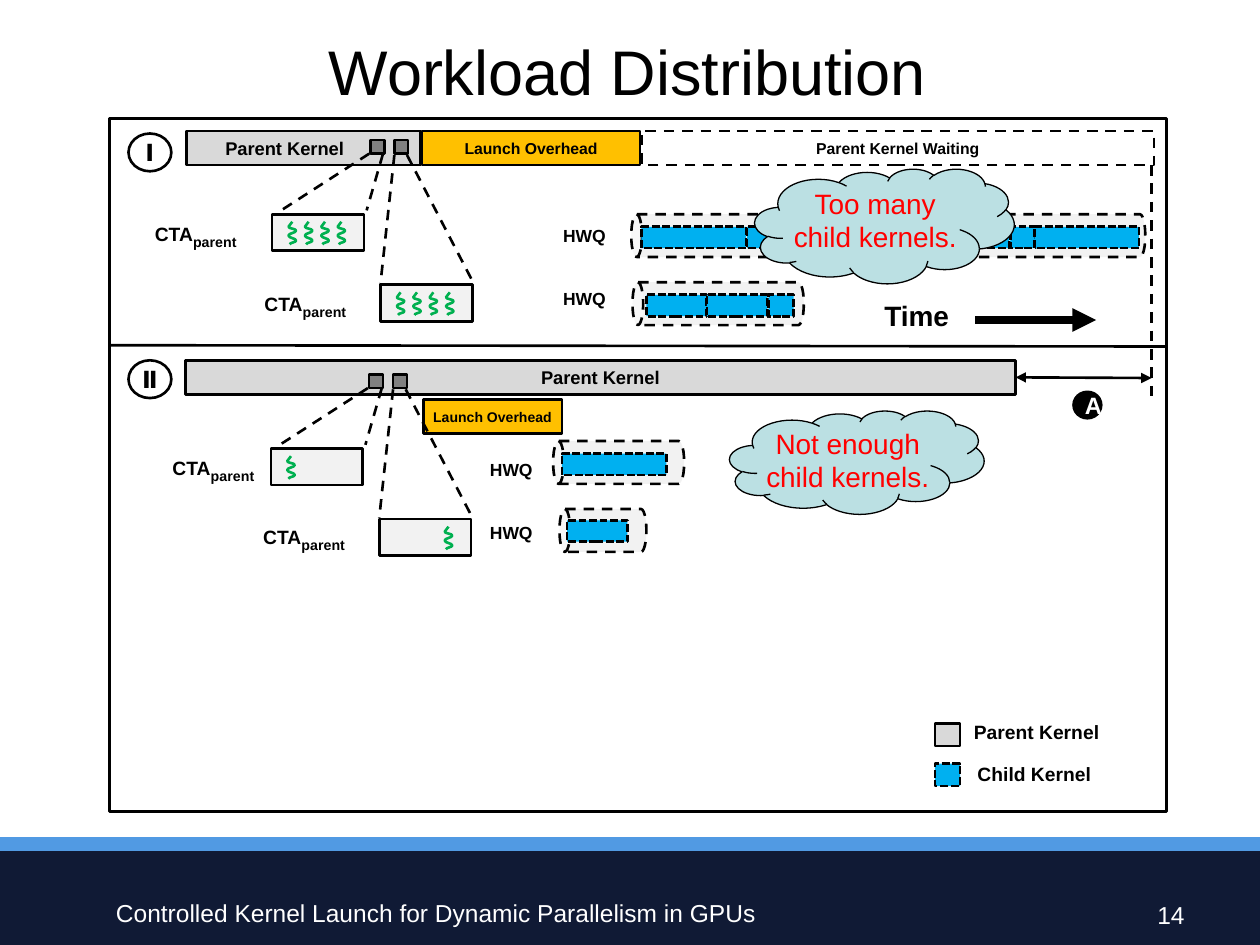
"""Build the Workload Distribution slide, comparing two child kernel launch timelines."""
from lxml import etree
from pptx import Presentation
from pptx.dml.color import RGBColor
from pptx.enum.dml import MSO_LINE
from pptx.enum.shapes import MSO_CONNECTOR, MSO_SHAPE
from pptx.enum.text import MSO_ANCHOR, PP_ALIGN
from pptx.oxml.ns import qn
from pptx.util import Inches, Pt

RECT, OVAL, CAN, CLOUD = MSO_SHAPE.RECTANGLE, MSO_SHAPE.OVAL, MSO_SHAPE.CAN, MSO_SHAPE.CLOUD
STRAIGHT = MSO_CONNECTOR.STRAIGHT
DASH, SHORT_DASH = MSO_LINE.DASH, MSO_LINE.SQUARE_DOT
TOP, MIDDLE = MSO_ANCHOR.TOP, MSO_ANCHOR.MIDDLE
LEFT, CENTER, RIGHT = PP_ALIGN.LEFT, PP_ALIGN.CENTER, PP_ALIGN.RIGHT
FONT = "Arial"
THREAD = [(0.03, 0), (0, 0.04), (0.06, 0.07), (0, 0.11), (0.06, 0.15), (0.01, 0.18)]
COLORS = {
    "black": "000000", "white": "FFFFFF", "navy": "101A35", "band": "519AE3",
    "parent": "D9D9D9", "child": "00B0F0", "launch": "FFC000", "pale": "F2F2F2",
    "block": "808080", "thread": "00B050", "cloud": "BBE0E3", "red": "FF0000",
}


def color(name):
    return RGBColor.from_string(COLORS[name])


def write_text(shape, text, size=11, ink="black", bold=True, align=CENTER, anchor=MIDDLE,
               insets=(0, 0, 0, 0), wrap=True, subscript=None):
    frame = shape.text_frame
    frame.word_wrap = wrap
    frame.vertical_anchor = anchor
    frame.margin_left, frame.margin_top, frame.margin_right, frame.margin_bottom = map(Inches, insets)
    para = frame.paragraphs[0]
    para.alignment = align
    spans = [(text, size)] + ([(subscript, 14)] if subscript else [])
    for words, points in spans:
        span = para.add_run()
        span.text = words
        span.font.name, span.font.size, span.font.bold = FONT, Pt(points), bold
        span.font.color.rgb = color(ink)
    if subscript:
        span.font._element.set("baseline", "-25000")


def bend_segments(freeform):
    """Turn each straight segment into a curve that leaves and arrives vertically."""
    outline = next(freeform._element.iter(qn("a:path")))
    points = [(int(p.get("x")), int(p.get("y"))) for p in outline.iter(qn("a:pt"))]
    for segment, (x0, y0), (x1, y1) in zip(outline.findall(qn("a:lnTo")), points, points[1:]):
        curve = etree.Element(qn("a:cubicBezTo"))
        middle = (y0 + y1) // 2
        for x, y in ((x0, middle), (x1, middle), (x1, y1)):
            etree.SubElement(curve, qn("a:pt"), x=str(x), y=str(y))
        outline.replace(segment, curve)


class Painter:
    """Holds the line style and the slide being drawn."""

    margins = (0.1, 0.05, 0.1, 0.05)

    def __init__(self, slide):
        self.slide = slide
        self.shapes = slide.shapes

    def paint(self, shape, fill, ink="black", width=1.5, dash=None):
        shape.shadow.inherit = False
        if fill:
            shape.fill.solid()
            shape.fill.fore_color.rgb = color(fill)
        else:
            shape.fill.background()
        if ink:
            shape.line.color.rgb = color(ink)
            shape.line.width = Pt(width)
            if dash:
                shape.line.dash_style = dash
        else:
            shape.line.fill.background()

    def shape(self, kind, place, fill=None, **style):
        box = self.shapes.add_shape(kind, *map(Inches, place))
        self.paint(box, fill, **style)
        return box

    def text(self, place, text, **style):
        box = self.shapes.add_textbox(*map(Inches, place))
        write_text(box, text, **{"align": LEFT, "anchor": TOP, "insets": self.margins, **style})

    def line(self, start, end, ink="black", width=1.5, dash=None, head=False, tail=False):
        link = self.shapes.add_connector(STRAIGHT, *map(Inches, (*start, *end)))
        link.line.color.rgb = color(ink)
        link.line.width = Pt(width)
        if dash:
            link.line.dash_style = dash
        outline = link.line._get_or_add_ln()
        for wanted, tag in ((head, "a:headEnd"), (tail, "a:tailEnd")):
            if wanted:
                etree.SubElement(outline, qn(tag), type="triangle")
        etree.SubElement(link._element.spPr, qn("a:effectLst"))
        return link

    def queue(self, left, top, width, height=0.34):
        """Draw a can lying on its side inside the given bounds."""
        place = (left + (width - height) / 2, top - (width - height) / 2, height, width)
        self.shape(CAN, place, "pale", dash=DASH).rotation = 270

    def children(self, top, kernels):
        for left, width in kernels:
            self.shape(RECT, (left, top, width, 0.17), "child", dash=SHORT_DASH)

    def thread(self, left, top):
        points = [(Inches(left + x), Inches(top + y)) for x, y in THREAD]
        builder = self.shapes.build_freeform(*points[0])
        builder.add_line_segments(points[1:], close=False)
        squiggle = builder.convert_to_shape()
        bend_segments(squiggle)
        self.paint(squiggle, "pale", ink="thread")

    def fan_out(self, dx, dy, slots):
        """Draw two launching blocks and the enlarged thread arrays below them."""
        for left in (2.94, 3.13):
            self.shape(RECT, (left + dx, 1.11 + dy, 0.11, 0.11), "block")
        rays = [((2.93, 1.22), (2.2, 1.69)), ((3.04, 1.22), (2.91, 1.67)),
                ((3.13, 1.23), (3.02, 2.25)), ((3.23, 1.23), (3.76, 2.25))]
        for start, end in rays:
            self.line((start[0] + dx, start[1] + dy), (end[0] + dx, end[1] + dy), dash=DASH)
        for (left, top), used in zip(((2.16, 1.7), (3.02, 2.26)), slots):
            self.shape(RECT, (left + dx, top + dy, 0.73, 0.29), "pale")
            for slot in used:
                self.thread(left + dx + 0.13 * (slot + 1), top + dy + 0.06)


def main():
    deck = Presentation()
    deck.slide_width, deck.slide_height = Inches(10), Inches(7.5)
    page = Painter(deck.slides.add_slide(deck.slide_layouts[6]))

    page.shape(RECT, (0, 6.75, 10, 0.75), "navy", ink=None)
    page.line((0, 6.7), (10, 6.7), ink="band", width=8)
    page.text((0.92, 7.13, 6.49, 0.5), "Controlled Kernel Launch for Dynamic Parallelism in GPUs",
              size=14, ink="white", bold=False, insets=(0, 0, 0, 0))
    page.text((0.67, 0.21, 8.62, 1.45), "Workload Distribution", size=36, bold=False, align=CENTER)
    page.text((7.42, 7.09, 2.08, 0.5), "14", size=14, ink="white", bold=False, align=RIGHT)

    page.line((9.14, 1.31), (9.14, 3.17), dash=DASH)
    second_parent = page.shape(RECT, (1.47, 2.86, 6.59, 0.27), "parent")
    write_text(second_parent, "Parent Kernel", size=10.5)
    saving = page.line((8.06, 3), (9.14, 3), head=True, tail=True)
    saving.begin_connect(second_parent, 3)
    page.line((0.88, 2.74), (9.26, 2.75))

    first_parent = page.shape(RECT, (1.48, 1.04, 1.86, 0.27), "parent")
    write_text(first_parent, "Parent Kernel", size=10.5, insets=(0, 0, 0.3, 0))
    waiting = page.shape(RECT, (5.09, 1.04, 4.07, 0.27), dash=DASH)
    write_text(waiting, "Parent Kernel Waiting", size=9)
    first_launch = page.shape(RECT, (3.35, 1.04, 1.73, 0.27), "launch")
    write_text(first_launch, "Launch Overhead", size=9)
    second_launch = page.shape(RECT, (3.36, 3.17, 1.1, 0.27), "launch")
    write_text(second_launch, "Launch Overhead", size=8, wrap=False)
    marker = page.shape(OVAL, (8.52, 3.11, 0.22, 0.21), "black")
    write_text(marker, "A", size=13.5, ink="white", insets=page.margins)
    for numeral, top in (("Ⅰ", 1.06), ("Ⅱ", 2.86)):
        write_text(page.shape(OVAL, (1.02, top, 0.34, 0.3)), numeral, size=13.5)

    queues = [
        ((5.01, 1.7, 4.08), 1.8, [(5.09, 0.83), (5.93, 0.48), (6.42, 0.2), (6.62, 0.2), (6.83, 0.2),
                                  (7.03, 0.48), (7.53, 0.48), (8.02, 0.2), (8.21, 0.83)]),
        ((5.02, 2.24, 1.36), 2.34, [(5.13, 0.48), (5.61, 0.48), (6.1, 0.2)]),
        ((4.39, 3.5, 1.04), 3.6, [(4.46, 0.83)]),
        ((4.44, 4.04, 0.69), 4.13, [(4.5, 0.48)]),
    ]
    for can, top, kernels in queues:
        page.queue(*can)
        page.children(top, kernels)
    for left, top in ((4.37, 1.74), (4.37, 2.24), (3.79, 3.59), (3.79, 4.09)):
        page.text((left, top, 2.05, 0.33), "HWQ", size=10)

    page.text((6.92, 2.32, 1.22, 0.45), "Time", size=16)
    page.line((7.74, 2.54), (8.7, 2.54), width=4.5, tail=True)
    page.text((7.63, 5.67, 1.51, 0.57), "Parent Kernel")
    page.text((7.66, 6, 1.53, 0.35), "Child Kernel")
    page.shape(RECT, (7.42, 6.06, 0.2, 0.18), "child", dash=SHORT_DASH)
    page.shape(RECT, (7.42, 5.74, 0.2, 0.18), "parent")
    page.shape(RECT, (0.87, 0.94, 8.39, 5.5))

    page.fan_out(0, 0, (range(4), range(4)))
    page.fan_out(-0.01, 1.86, ((0,), (3,)))
    for left, top in ((1.13, 1.67), (2, 2.23), (1.27, 3.53), (1.99, 4.08)):
        page.text((left, top, 1.12, 0.29), "CTA", subscript="parent")

    clouds = [((5.79, 3.26, 2.02, 0.82), "Not enough child kernels."),
              ((5.99, 1.34, 2.06, 0.91), "Too many child kernels.")]
    for place, remark in clouds:
        cloud = page.shape(CLOUD, place, "cloud", width=0.75)
        write_text(cloud, remark, size=16, ink="red", bold=False, anchor=TOP)

    deck.save("out.pptx")


if __name__ == "__main__":
    main()
